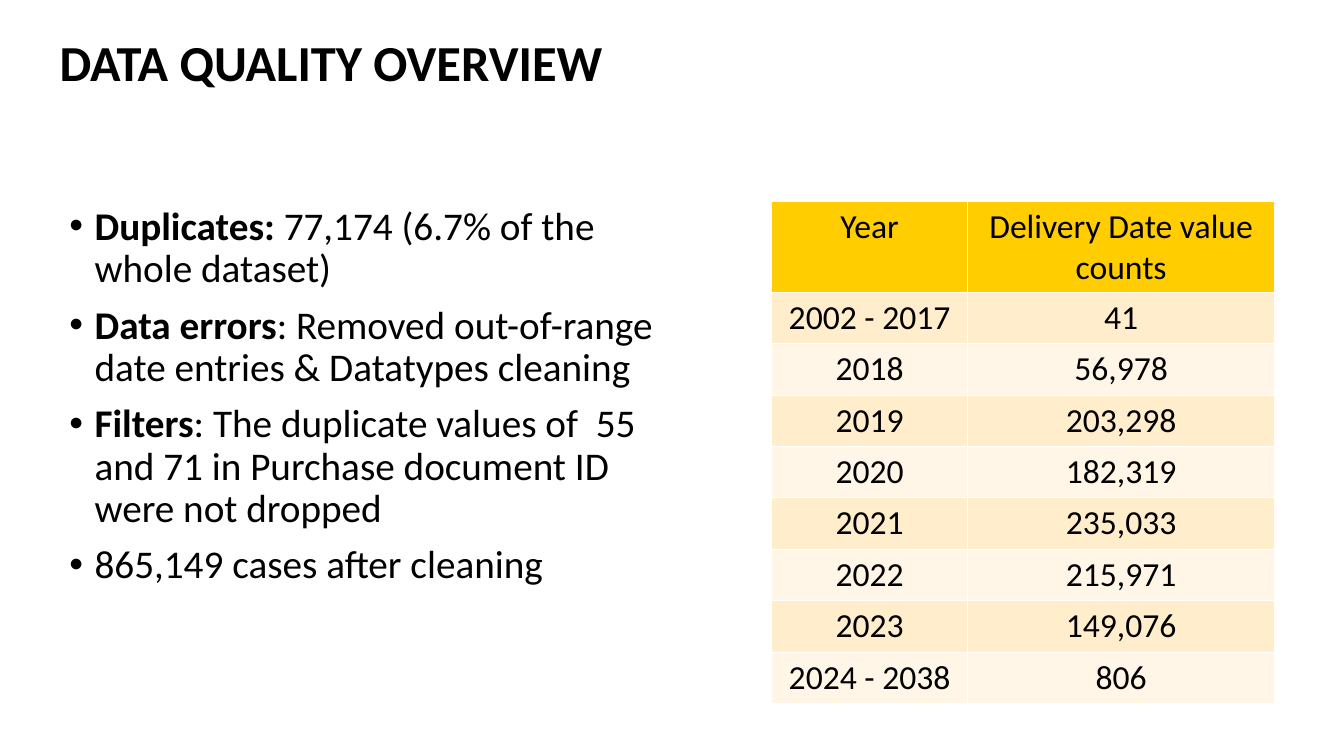
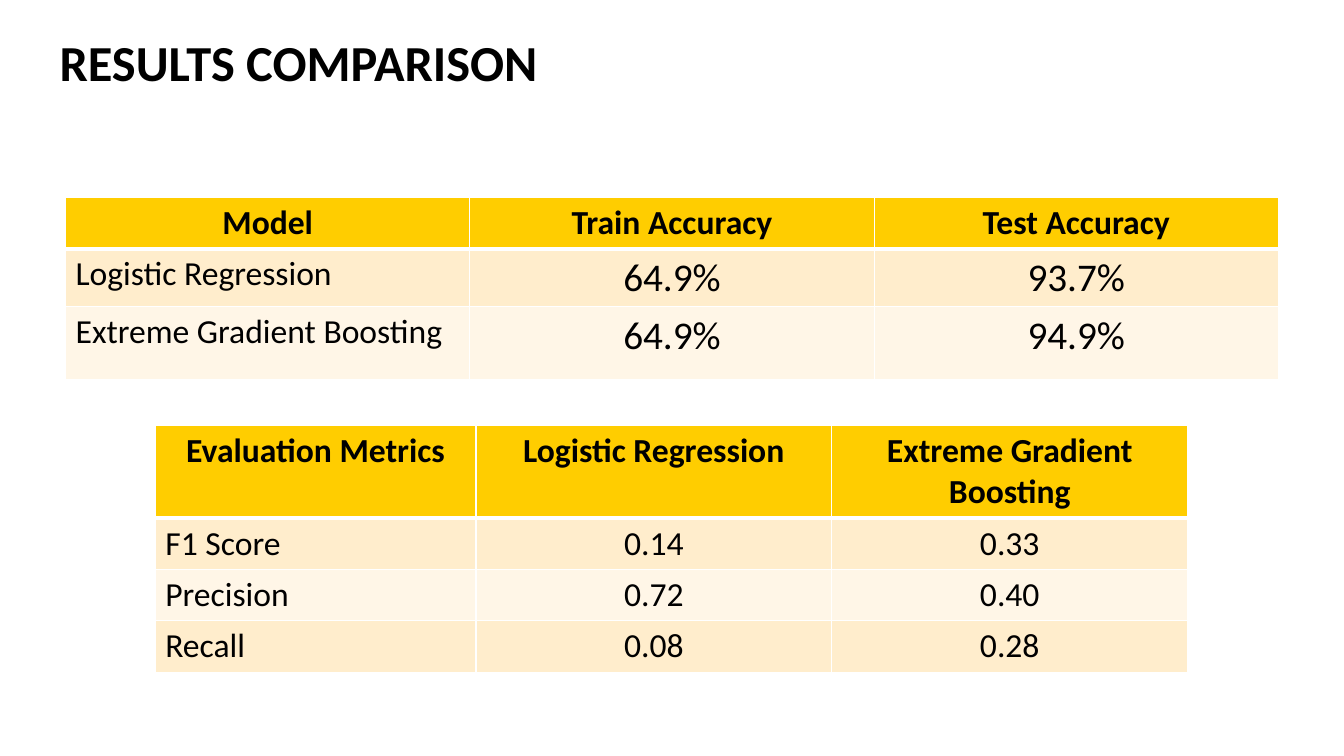
from lxml.etree import SubElement
from pptx import Presentation
from pptx.dml.color import RGBColor
from pptx.enum.text import MSO_ANCHOR, PP_ALIGN
from pptx.oxml.ns import qn
from pptx.util import Inches, Pt

COLORS = {
    "text": "000000",
    "header": "FFCD00",
    "odd_row": "FFEDCC",
    "even_row": "FFF6E7",
    "border": "FFFFFF",
}
FONT = "Calibri"


class Deck:
    """Holds the shared style and the current slide."""

    def __init__(self):
        self.presentation = Presentation()
        self.presentation.slide_width = Inches(13.33)
        self.presentation.slide_height = Inches(7.5)
        self.slide = None

    def style(self, paragraph, size, bold=None, align=PP_ALIGN.LEFT):
        paragraph.alignment = align
        font = paragraph.font
        font.name, font.size, font.bold = FONT, Pt(size), bold
        font.color.rgb = RGBColor.from_string(COLORS["text"])

    def add_slide(self, title):
        layout = self.presentation.slide_layouts.get_by_name("Title Only")
        self.slide = self.presentation.slides.add_slide(layout)
        shape = self.slide.shapes.title
        shape.left, shape.top = Inches(0.59), Inches(0)
        shape.width, shape.height = Inches(9.55), Inches(1.3)
        frame = shape.text_frame
        frame.text = title
        frame.margin_left = 0
        frame.vertical_anchor = MSO_ANCHOR.MIDDLE
        paragraph = frame.paragraphs[0]
        paragraph.line_spacing = 0.9
        self.style(paragraph, 36, bold=True)

    def add_bullets(self, left, top, width, height, items):
        """Each item is a bold lead followed by plain text."""
        box = self.slide.shapes.add_textbox(
            Inches(left), Inches(top), Inches(width), Inches(height))
        frame = box.text_frame
        frame.word_wrap = True
        for index, (lead, rest) in enumerate(items):
            paragraph = frame.add_paragraph() if index else frame.paragraphs[0]
            properties = paragraph._p.get_or_add_pPr()
            properties.set("marL", str(Inches(0.25)))
            properties.set("indent", str(-Inches(0.25)))
            SubElement(properties, qn("a:buFont"), typeface="Arial")
            SubElement(properties, qn("a:buChar"), char="•")
            paragraph.line_spacing = 0.9
            paragraph.space_before = Pt(10 if index else 0)
            self.style(paragraph, 28)
            for text, bold in ((lead, True), (rest, False)):
                if text:
                    run = paragraph.add_run()
                    run.text = text
                    run.font.bold = bold

    def set_borders(self, cell, **widths):
        properties = cell._tc.get_or_add_tcPr()
        for side in "LRTB":
            line = SubElement(properties, qn(f"a:ln{side}"), w=str(Pt(widths[side])))
            fill = SubElement(line, qn("a:solidFill"))
            SubElement(fill, qn("a:srgbClr"), val=COLORS["border"])

    def add_table(self, left, top, columns, heights, rows, border=1, header_border=3,
                  header_bold=True, label_align=PP_ALIGN.LEFT, value_size=24):
        table = self.slide.shapes.add_table(
            len(rows), len(columns), Inches(left), Inches(top),
            Inches(sum(columns)), Inches(sum(heights))).table
        for column, width in zip(table.columns, columns):
            column.width = Inches(width)
        for row, height in zip(table.rows, heights):
            row.height = Inches(height)

        for i, values in enumerate(rows):
            fill = "header" if i == 0 else "odd_row" if i % 2 else "even_row"
            for j, value in enumerate(values):
                cell = table.cell(i, j)
                self.set_borders(cell, L=border, R=border,
                                 T=header_border if i == 1 else border,
                                 B=header_border if i == 0 else border)
                cell.fill.solid()
                cell.fill.fore_color.rgb = RGBColor.from_string(COLORS[fill])
                cell.text = value
                is_value = i > 0 and j > 0
                is_label = i > 0 and j == 0
                self.style(cell.text_frame.paragraphs[0],
                           value_size if is_value else 24,
                           bold=header_bold and i == 0,
                           align=label_align if is_label else PP_ALIGN.CENTER)


def main():
    deck = Deck()

    # Data quality: findings beside the yearly counts
    deck.add_slide("DATA QUALITY OVERVIEW")
    deck.add_bullets(0.59, 2, 6.15, 3.91, [
        ("Duplicates:", " 77,174 (6.7% of the whole dataset)"),
        ("Data errors", ": Removed out-of-range date entries & Datatypes cleaning"),
        ("Filters", ": The duplicate values of  55 and 71 in Purchase document ID "
                    "were not dropped"),
        ("", "865,149 cases after cleaning"),
    ])
    year_counts = [
        ("Year", "Delivery Date value counts"),
        ("2002 - 2017", "41"),
        ("2018", "56,978"),
        ("2019", "203,298"),
        ("2020", "182,319"),
        ("2021", "235,033"),
        ("2022", "215,971"),
        ("2023", "149,076"),
        ("2024 - 2038", "806"),
    ]
    deck.add_table(7.65, 2, [1.95, 3.04], [0.85] + [0.51] * 8, year_counts,
                   border=0.75, header_border=0.75, header_bold=False,
                   label_align=PP_ALIGN.CENTER)

    # Results: accuracy above the evaluation metrics
    deck.add_slide("RESULTS COMPARISON")
    deck.add_table(0.65, 1.96, [4.01] * 3, [0.47, 0.53, 0.72], [
        ("Model", "Train Accuracy", "Test Accuracy"),
        ("Logistic Regression", "64.9%", "93.7%"),
        ("Extreme Gradient Boosting", "64.9%", "94.9%"),
    ], value_size=28)
    deck.add_table(1.54, 4.22, [3.18, 3.53, 3.53], [0.92] + [0.51] * 3, [
        ("Evaluation Metrics", "Logistic Regression", "Extreme Gradient Boosting"),
        ("F1 Score", "0.14", "0.33"),
        ("Precision", "0.72", "0.40"),
        ("Recall", "0.08", "0.28"),
    ])

    deck.presentation.save("out.pptx")


if __name__ == "__main__":
    main()
